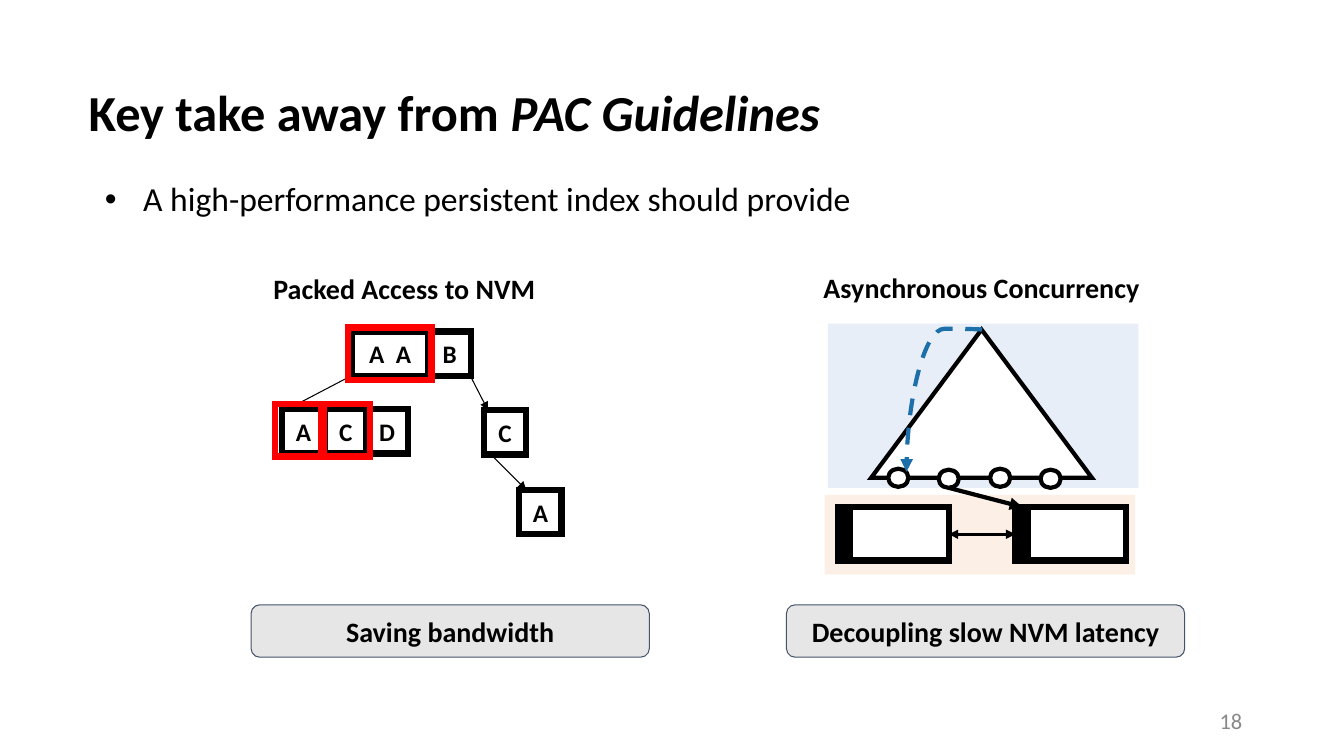
from lxml.etree import SubElement
from pptx import Presentation
from pptx.dml.color import RGBColor
from pptx.enum.dml import MSO_LINE
from pptx.enum.shapes import MSO_CONNECTOR, MSO_SHAPE
from pptx.enum.text import MSO_ANCHOR, MSO_AUTO_SIZE, PP_ALIGN
from pptx.oxml.ns import qn
from pptx.util import Inches, Pt

FONT = "Calibri"
BLACK, WHITE, RED = "000000", "FFFFFF", "FF0000"


def color(hex_string):
    return RGBColor.from_string(hex_string)


def place(shape, left, top, width, height):
    shape.left, shape.top = Inches(left), Inches(top)
    shape.width, shape.height = Inches(width), Inches(height)


def format_text(shape, size, bold=True, align=PP_ALIGN.CENTER,
                anchor=MSO_ANCHOR.MIDDLE, font_color=BLACK):
    frame = shape.text_frame
    frame.vertical_anchor = anchor
    frame.auto_size = MSO_AUTO_SIZE.NONE
    frame.word_wrap = True
    paragraph = frame.paragraphs[0]
    paragraph.alignment = align
    paragraph.space_before = Pt(0)
    for run in paragraph.runs:
        run.font.name = FONT
        run.font.size = Pt(size)
        run.font.bold = bold
        run.font.color.rgb = color(font_color)


def style_line(shape, line_color, width, dash=None):
    shape.line.color.rgb = color(line_color)
    shape.line.width = Pt(width)
    if dash:
        shape.line.dash_style = dash
    line = shape._element.spPr.find(qn("a:ln"))
    SubElement(line, qn("a:miter"), lim="800000")
    return line


def add_box(shapes, box, fill=WHITE, line=BLACK, width=4.5,
            kind=MSO_SHAPE.RECTANGLE, text="", size=18):
    shape = shapes.add_shape(kind, *map(Inches, box))
    shape.shadow.inherit = False
    if fill:
        shape.fill.solid()
        shape.fill.fore_color.rgb = color(fill)
    else:
        shape.fill.background()
    if line:
        style_line(shape, line, width)
    else:
        shape.line.fill.background()
    if text:
        shape.text_frame.text = text
        format_text(shape, size)
    return shape


def add_panel(shapes, box, fill):
    """A borderless area at 29 % opacity."""
    panel = add_box(shapes, box, fill, line=None)
    fill_color = panel._element.spPr.find(qn("a:solidFill")).find(qn("a:srgbClr"))
    SubElement(fill_color, qn("a:alpha"), val="29000")


def add_arrow(shapes, start, end, width, both_ends=False, line=BLACK,
              kind=MSO_CONNECTOR.STRAIGHT, dash=None):
    arrow = shapes.add_connector(kind, *map(Inches, start + end))
    line_element = style_line(arrow, line, width, dash)
    if both_ends:
        SubElement(line_element, qn("a:headEnd"), type="triangle")
    SubElement(line_element, qn("a:tailEnd"), type="triangle")
    SubElement(arrow._element.spPr, qn("a:effectLst"))
    return arrow


def add_label(shapes, box, text, size, **text_format):
    label = shapes.add_textbox(*map(Inches, box))
    label.text_frame.text = text
    format_text(label, size, **text_format)


def fill_placeholders(slide):
    title, body = slide.placeholders[0], slide.placeholders[1]
    place(title, 0.78, 0.75, 11.5, 0.78)
    paragraph = title.text_frame.paragraphs[0]
    paragraph.add_run().text = "Key take away from "
    emphasis = paragraph.add_run()
    emphasis.text = "PAC Guidelines"
    emphasis.font.italic = True
    paragraph.line_spacing = 0.9
    format_text(title, 36, align=PP_ALIGN.LEFT)

    place(body, 0.78, 1.76, 11.5, 1.6)
    body.text_frame.text = "A high-performance persistent index should provide"
    paragraph = body.text_frame.paragraphs[0]
    properties = paragraph._p.get_or_add_pPr()
    properties.set("marL", str(Inches(0.54)))
    properties.set("indent", str(Inches(-0.38)))
    bullet_color = SubElement(properties, qn("a:buClr"))
    SubElement(bullet_color, qn("a:srgbClr"), val=BLACK)
    SubElement(properties, qn("a:buFont"), typeface="Arial")
    SubElement(properties, qn("a:buChar"), char="•")
    paragraph.line_spacing = 0.9
    format_text(body, 24, bold=False, align=PP_ALIGN.LEFT, anchor=MSO_ANCHOR.TOP)


def draw_concurrency(shapes):
    add_panel(shapes, (8.18, 4.91, 3.08, 0.79), "F7CAAC")
    add_panel(shapes, (8.21, 3.21, 3.08, 1.63), "B3C6E7")

    # Linked data nodes with black headers
    for left in (8.31, 10.07):
        add_box(shapes, (left, 5.03, 1.1, 0.53))
        add_box(shapes, (left, 5.03, 0.12, 0.53), BLACK)
    add_arrow(shapes, (9.41, 5.3), (10.07, 5.3), 2.25, both_ends=True)
    add_arrow(shapes, (9.41, 4.84), (10.14, 5.03), 3)

    # Search tree and its leaves
    add_box(shapes, (8.64, 3.27, 2.19, 1.47), width=3,
            kind=MSO_SHAPE.ISOSCELES_TRIANGLE)
    for left, top in ((8.81, 4.65), (9.31, 4.66), (9.82, 4.65), (10.32, 4.66)):
        add_box(shapes, (left, top, 0.2, 0.18), width=3, kind=MSO_SHAPE.OVAL)

    # Dashed lookup, a curve turned by 90 degrees
    lookup = add_arrow(shapes, (8.66, 3.6), (10.07, 4.35), 3, line="1D6FA9",
                       kind=MSO_CONNECTOR.CURVE, dash=MSO_LINE.DASH)
    properties = lookup._element.spPr
    properties.find(qn("a:xfrm")).set("rot", str(90 * 60000))
    guides = properties.find(qn("a:prstGeom")).find(qn("a:avLst"))
    SubElement(guides, qn("a:gd"), name="adj1", fmla="val -600")

    add_label(shapes, (8.05, 2.63, 3.37, 0.44), "Asynchronous Concurrency", 20,
              anchor=MSO_ANCHOR.TOP)


def draw_packed_access(shapes):
    add_label(shapes, (2.6, 2.64, 2.82, 0.44), "Packed Access to NVM", 20,
              anchor=MSO_ANCHOR.TOP)

    # Tree nodes; the left arrow ends behind its node
    add_arrow(shapes, (3.5, 3.72), (2.85, 4.06), 0.75)
    packed = add_box(shapes, (3.49, 3.29, 0.76, 0.44), text="A A")
    packed.text_frame.paragraphs[0].runs[0]._r.get_or_add_rPr().set("spc", "200")
    for text, left, top in (("A", 2.8, 4.06), ("C", 3.22, 4.06), ("D", 3.63, 4.06),
                            ("B", 4.25, 3.29), ("C", 4.8, 4.07), ("A", 5.15, 4.86)):
        add_box(shapes, (left, top, 0.42, 0.44), text=text)
    add_arrow(shapes, (4.66, 3.72), (4.84, 4.07), 0.75)
    add_arrow(shapes, (4.85, 4.49), (5.22, 4.86), 0.75)

    # Red frames around accessed entries
    for left, top, width in ((3.45, 3.25, 0.83), (2.73, 4.01, 0.48),
                             (3.19, 4.01, 0.48)):
        add_box(shapes, (left, top, width, 0.52), fill=None, line=RED)


def main():
    presentation = Presentation()
    presentation.slide_width = Inches(13.33)
    presentation.slide_height = Inches(7.5)
    slide = presentation.slides.add_slide(presentation.slide_layouts[1])

    fill_placeholders(slide)
    draw_concurrency(slide.shapes.add_group_shape().shapes)
    draw_packed_access(slide.shapes.add_group_shape().shapes)

    # Benefits and slide number
    for left, text in ((2.49, "Saving bandwidth"),
                       (7.8, "Decoupling slow NVM latency")):
        add_box(slide.shapes, (left, 6, 3.95, 0.52), "E7E6E6", "44546A", 0.75,
                MSO_SHAPE.ROUNDED_RECTANGLE, text, 20)
    add_label(slide.shapes, (9.42, 6.95, 3, 0.4), "18", 16, bold=False,
              align=PP_ALIGN.RIGHT, font_color="888888")

    presentation.save("out.pptx")


if __name__ == "__main__":
    main()
